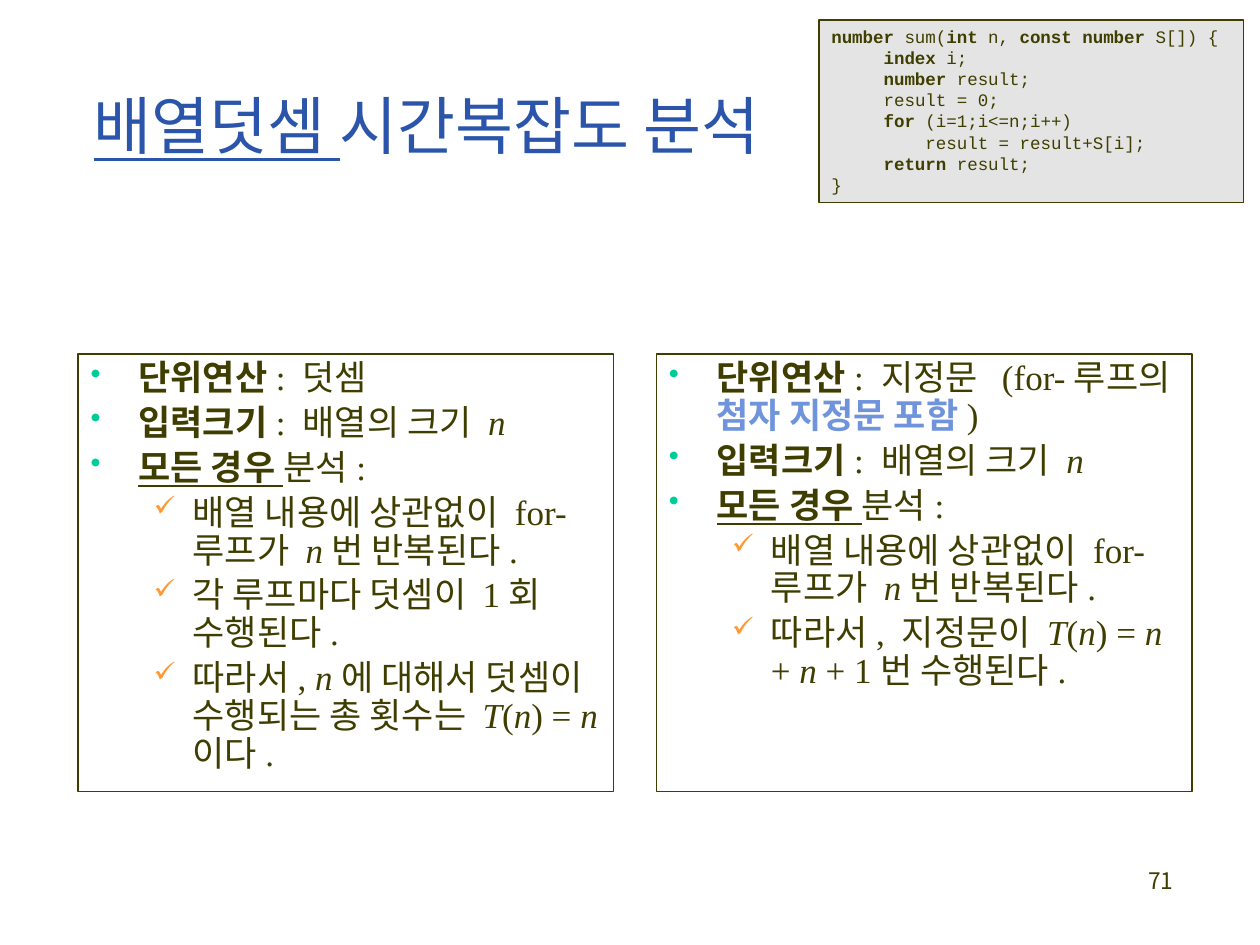
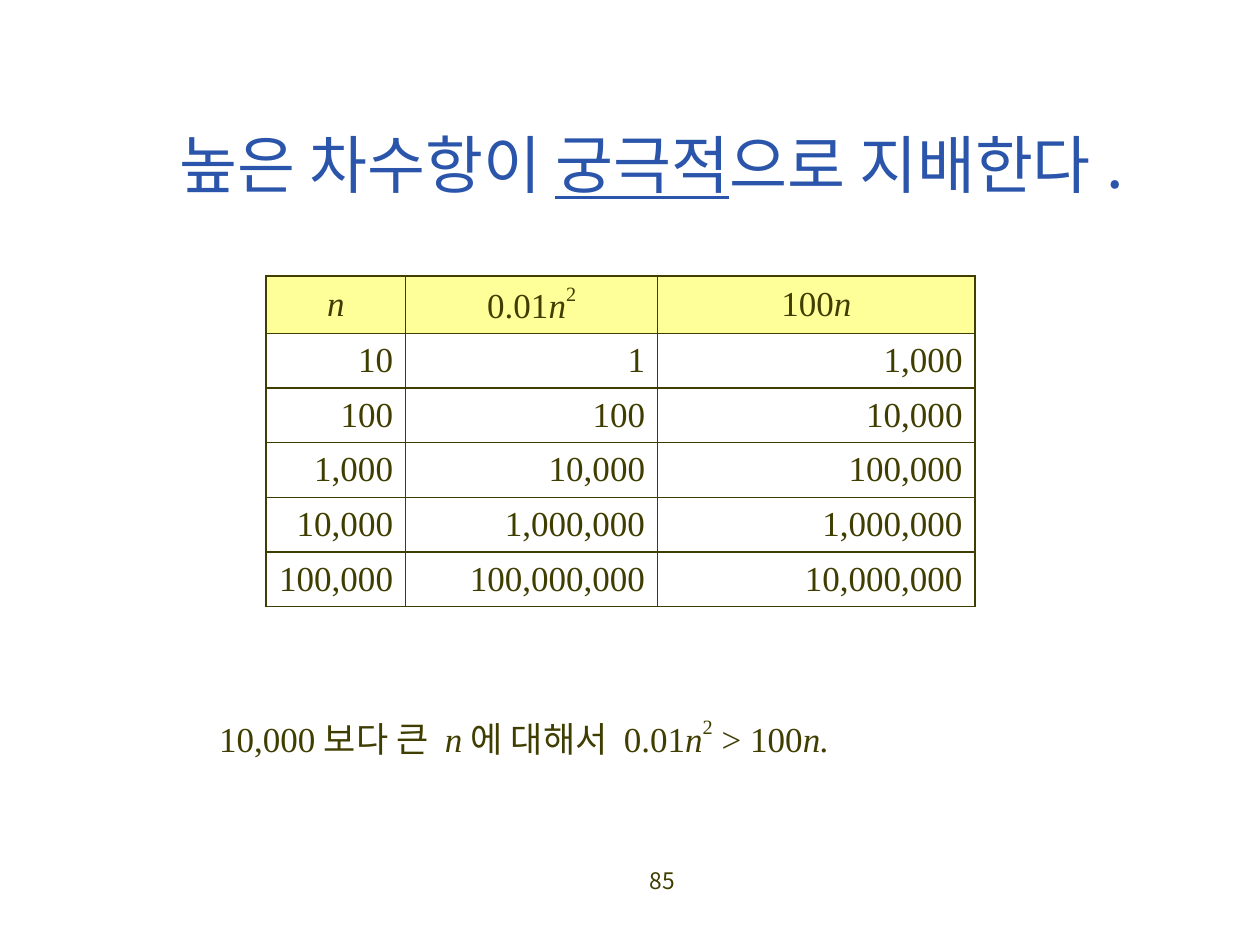
from lxml.etree import SubElement
from pptx import Presentation
from pptx.dml.color import RGBColor
from pptx.enum.shapes import MSO_SHAPE
from pptx.enum.text import MSO_ANCHOR, PP_ALIGN
from pptx.oxml.ns import qn
from pptx.util import Inches, Pt

INK, BLUE, SKY, GRAY, YELLOW = "3F3E00", "2A55AA", "7094DC", "E4E4E4", "FFFF99"
SERIF, SANS, MONO = "Times New Roman", "Noto Sans CJK KR", "Courier New"
MARKS = {"*": "bold", "/": "italic", "_": "underline", "^": "raised", "~": "sky"}
BULLETS = [("•", "00CC99", 85, 0.38, 0.38), ("✓", "FF9933", 80, 0.81, 0.31)]


def color(code):
    return RGBColor.from_string(code)


def apply(item, values):
    for name, value in values.items():
        setattr(item, name, value)


def split(text):
    state, part = {}, ""
    for sign in text:
        if sign in MARKS:
            if part:
                yield part, dict(state)
            part, key = "", MARKS[sign]
            state[key] = not state.get(key, False)
        else:
            part += sign
    if part:
        yield part, state


class Deck:
    def __init__(self):
        self.file = Presentation()
        apply(self.file, {"slide_width": Inches(10), "slide_height": Inches(7.5)})
        self.slide = None

    def page(self, number, left, width, align):
        self.slide = self.file.slides.add_slide(self.file.slide_layouts[6])
        self.text((left, 6.83, width, 0.5), [number], 13, SANS, align=align)

    def line(self, para, text, size, face=SERIF, ink=INK, align=PP_ALIGN.LEFT):
        para.alignment = align
        for part, style in split(text):
            run = para.add_run()
            run.text = part
            raised, sky = style.pop("raised", False), style.pop("sky", False)
            apply(run.font, {"size": Pt(size), "name": face, **style})
            run.font.color.rgb = color(SKY if sky else ink)
            props = run.font._element
            SubElement(props, qn("a:ea")).set("typeface", SANS)
            if raised:
                props.set("baseline", "50000")

    def fill(self, frame, lines, *style, **more):
        frame.word_wrap = True
        for at, text in enumerate(lines):
            para = frame.add_paragraph() if at else frame.paragraphs[0]
            self.line(para, text, *style, **more)

    def text(self, box, lines, *style, anchor=MSO_ANCHOR.TOP, **more):
        frame = self.slide.shapes.add_textbox(*map(Inches, box)).text_frame
        frame.vertical_anchor = anchor
        self.fill(frame, lines, *style, **more)

    def title(self, box, text, face):
        self.text(box, [text], 36, face, BLUE, PP_ALIGN.CENTER, anchor=MSO_ANCHOR.MIDDLE)

    def rect(self, box, back=None):
        shape = self.slide.shapes.add_shape(MSO_SHAPE.RECTANGLE, *map(Inches, box))
        shape.shadow.inherit = False
        if back:
            shape.fill.solid()
            shape.fill.fore_color.rgb = color(back)
        else:
            shape.fill.background()
        shape.line.color.rgb = color(INK)
        shape.line.width = Pt(0.75)
        shape.text_frame.vertical_anchor = MSO_ANCHOR.TOP
        return shape.text_frame

    def code(self, box, lines):
        self.fill(self.rect(box, GRAY), lines, 10, MONO)

    def panel(self, box, items):
        frame = self.rect(box)
        self.fill(frame, [text for _, text in items], 20)
        for at, (para, (level, _)) in enumerate(zip(frame.paragraphs, items)):
            sign, ink, scale, left, hang = BULLETS[level]
            props = para._p.get_or_add_pPr()
            props.set("marL", str(Inches(left)))
            props.set("indent", str(-Inches(hang)))
            tint = SubElement(props, qn("a:buClr"))
            SubElement(tint, qn("a:srgbClr")).set("val", ink)
            SubElement(props, qn("a:buSzPct")).set("val", str(scale * 1000))
            SubElement(props, qn("a:buChar")).set("char", sign)
            apply(para, {"level": level, "line_spacing": Pt(21.6),
                         "space_before": Pt(4 if at else 0)})

    def edge(self, cell):
        props = cell._tc.get_or_add_tcPr()
        for at, side in enumerate(("lnL", "lnR", "lnT", "lnB")):
            rule = props.makeelement(qn("a:" + side), {"w": str(Pt(1))})
            paint = SubElement(rule, qn("a:solidFill"))
            SubElement(paint, qn("a:srgbClr")).set("val", INK)
            props.insert(at, rule)

    def table(self, box, widths, rows):
        grid = self.slide.shapes.add_table(len(rows), len(widths), *map(Inches, box)).table
        for col, width in zip(grid.columns, widths):
            col.width = Inches(width)
        for at, row in enumerate(rows):
            grid.rows[at].height = Inches(0.42 if at else 0.44)
            for cell, text in zip(grid.rows[at].cells, row):
                cell.vertical_anchor = MSO_ANCHOR.MIDDLE
                if at:
                    cell.fill.background()
                else:
                    cell.fill.solid()
                    cell.fill.fore_color.rgb = color(YELLOW)
                self.edge(cell)
                align = PP_ALIGN.RIGHT if at else PP_ALIGN.CENTER
                self.line(cell.text_frame.paragraphs[0], text, 20, align=align)


def main():
    deck = Deck()
    deck.page("71", 7.33, 2.08, PP_ALIGN.RIGHT)
    deck.title((-0.04, 0.54, 6.85, 0.9), "_배열덧셈 _시간복잡도 분석", SERIF)
    shared = [(0, "*입력크기*: 배열의 크기 /n/"),
              (0, "*_모든 경우 _*분석:"),
              (1, "배열 내용에 상관없이 for-루프가 /n/번 반복된다.")]
    adds = [(0, "*단위연산*: 덧셈"), *shared,
            (1, "각 루프마다 덧셈이 1회 수행된다."),
            (1, "따라서, /n/에 대해서 덧셈이 수행되는 총 횟수는 /T/(/n/) = /n /이다.")]
    moves = [(0, "*단위연산*: 지정문  (for-루프의 *~첨자 지정문 포함~*)"), *shared,
             (1, "따라서, 지정문이 /T/(/n/) = /n/ + /n/ + 1번 수행된다.")]
    for left, items in ((0.62, adds), (5.21, moves)):
        deck.panel((left, 2.81, 4.25, 3.47), items)
    deck.code((6.5, 0.16, 3.37, 1.45), [
        "*number* sum(*int* n, *const number* S[]) {",
        "     *index *i;",
        "     *number* result;",
        "     result = 0;",
        "     *for* (i=1;i<=n;i++)",
        "         result = result+S[i];",
        "     *return* result;",
        "}"])

    deck.page("85", 3.67, 3.17, PP_ALIGN.CENTER)
    deck.table((2.11, 2.19, 5.63, 2.54), (1.11, 2, 2.52), [
        ("/n/", "0.01/n/^2^", "100/n/"),
        ("10", "1", "1,000"),
        ("100", "100", "10,000"),
        ("1,000", "10,000", "100,000"),
        ("10,000", "1,000,000", "1,000,000"),
        ("100,000", "100,000,000", "10,000,000")])
    deck.title((0.92, 0.67, 8.5, 1.25), "높은 차수항이 _궁극적_으로 지배한다.", SANS)
    deck.text((1.64, 5.62, 6.95, 0.44),
              ["10,000보다 큰 /n/에 대해서 0.01/n/^2^ > 100/n./"], 20)
    deck.file.save("out.pptx")


if __name__ == "__main__":
    main()
